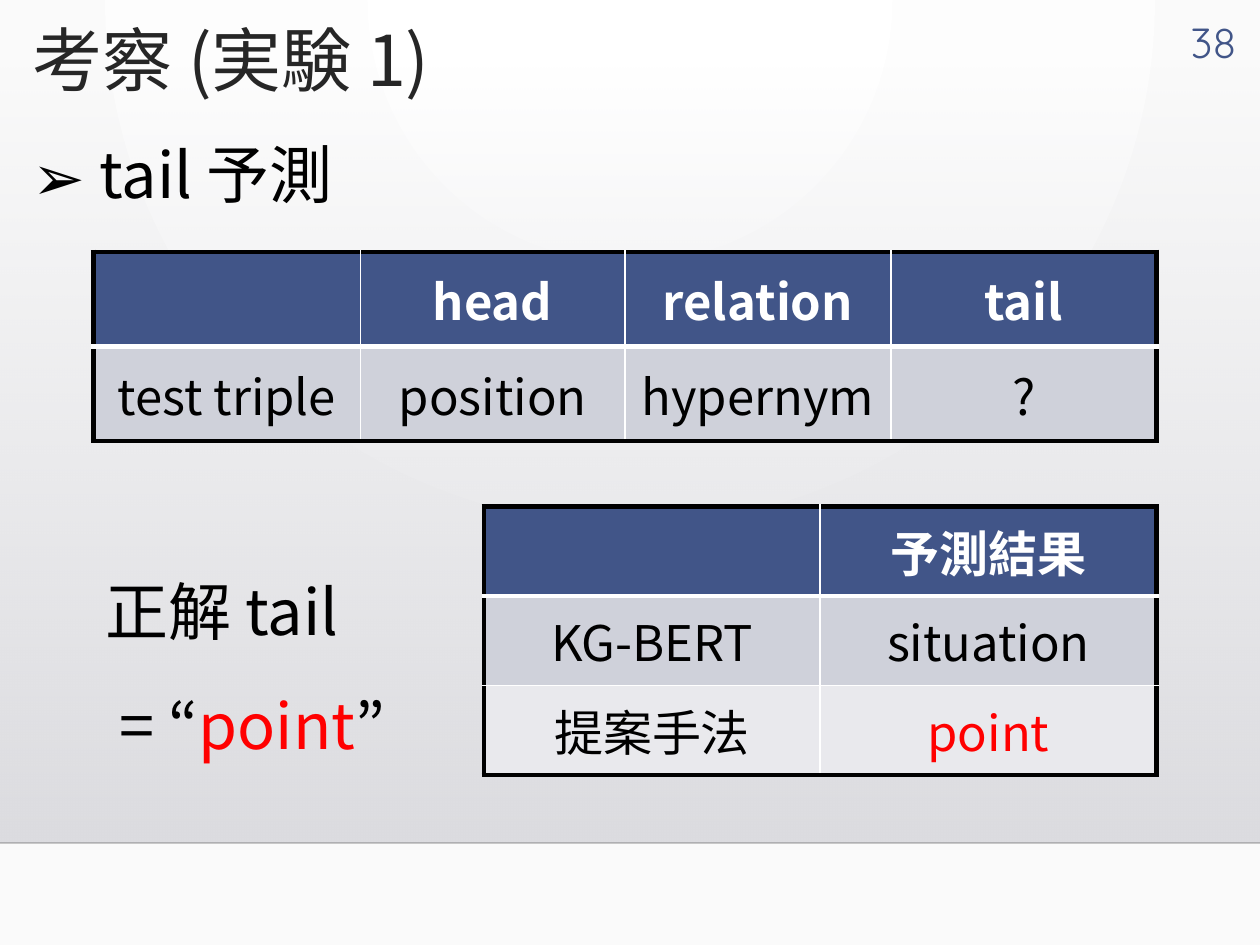
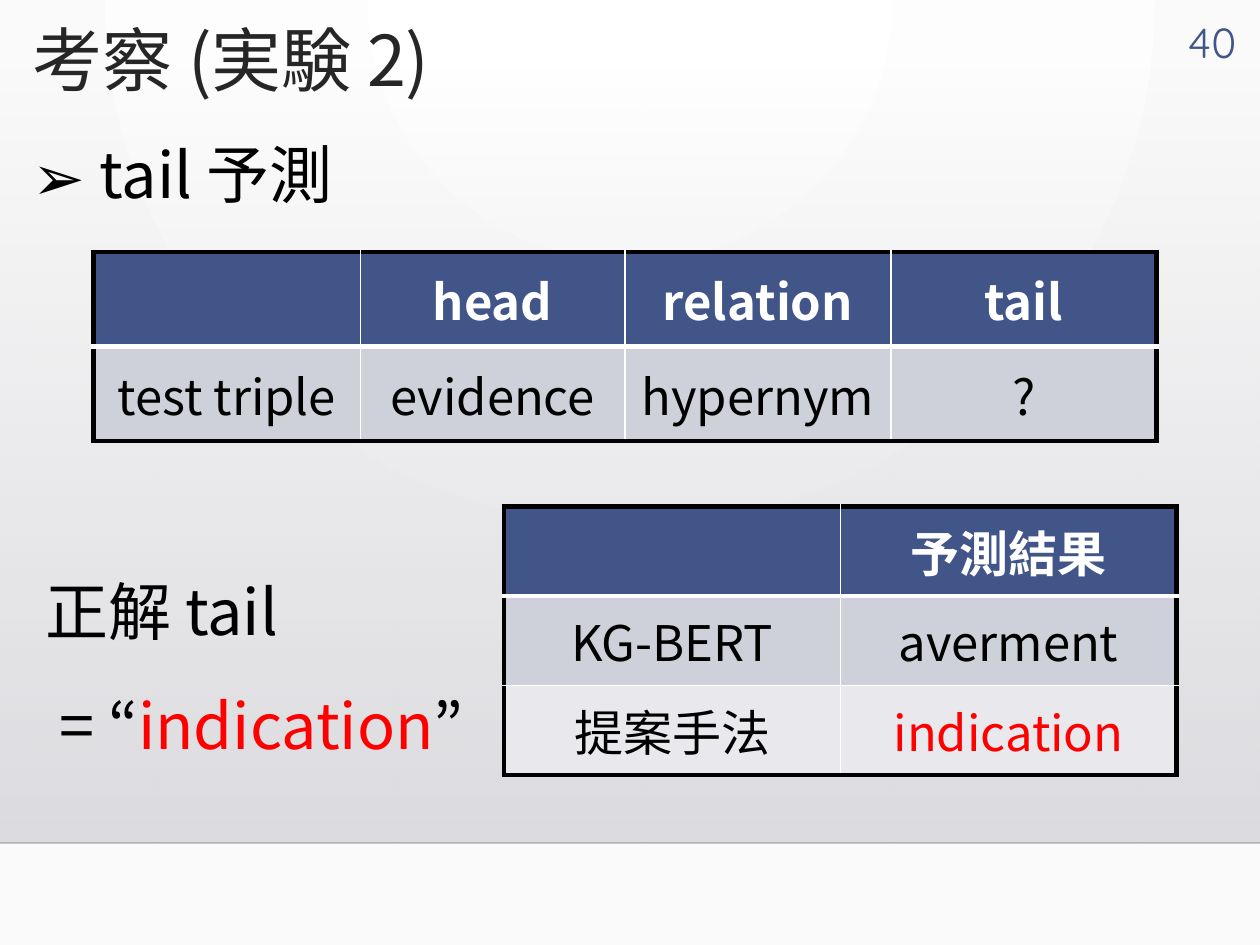
from dataclasses import dataclass

from lxml import etree
from pptx import Presentation, util as u
from pptx.dml.color import RGBColor
from pptx.enum import shapes, text
from pptx.oxml import parse_xml
from pptx.oxml.ns import nsdecls, qn


@dataclass(frozen=True)
class Theme:
    # Colours
    navy: str = "415588"
    ink: str = "262626"
    black: str = "000000"
    white: str = "FFFFFF"
    answer: str = "FF0000"
    rule: str = "000001"
    rows: tuple = ("CFD1DA", "E9E9ED")
    backdrop: tuple = (("FFFFFF", 100), ("FAFAFA", 100))
    band: tuple = (("DCDCE0", 0), ("DEDEE2", 100))
    # Fonts and type sizes
    font: str = "Noto Sans CJK JP"
    number_font: str = "Quicksand"
    title: int = 40
    body: int = 36
    cell: int = 28
    number: int = 24
    # Line pitches in points
    title_pitch: int = 48
    bullet_pitch: int = 43
    body_pitch: int = 65
    # Border widths in points
    thick: int = 3
    thin: int = 1


def shade(gradient, stops, shading):
    """Give a gradient fill two (colour, opacity) stops and a direction."""
    for child in list(gradient):
        gradient.remove(child)
    stop_list = etree.SubElement(gradient, qn("a:gsLst"))
    for position, (colour, opacity) in zip((0, 100), stops):
        stop = etree.SubElement(stop_list, qn("a:gs"), pos=str(position * 1000))
        fade(etree.SubElement(stop, qn("a:srgbClr"), val=colour), opacity)
    gradient.append(parse_xml(shading))


def fade(colour, opacity):
    if opacity < 100:
        etree.SubElement(colour, qn("a:alpha"), val=str(opacity * 1000))


class SlideBuilder:
    def __init__(self, deck, theme):
        self.deck = deck
        self.theme = theme
        self.page = None
        self.set_backdrop()

    def set_backdrop(self):
        master = self.deck.slide_master
        master.background.fill.gradient()
        shade(master.element.find(".//" + qn("a:gradFill")), self.theme.backdrop,
              f'<a:path {nsdecls("a")} path="circle">'
              '<a:fillToRect l="43000" t="0" r="43000" b="100000"/></a:path>')

    def new_page(self, title, number):
        theme = self.theme
        self.page = self.deck.slides.add_slide(self.deck.slide_layouts[6])
        self.band()
        self.rule()
        self.text_box(0.16, 0.08, 9.1, 0.86, [[(title, theme.ink)]],
                      theme.title, pitch=theme.title_pitch)
        self.text_box(9.19, 0.08, 0.72, 0.42, [[(number, theme.navy)]],
                      theme.number, font=theme.number_font,
                      align=text.PP_ALIGN.RIGHT)

    def band(self):
        box = self.page.shapes.add_shape(
            shapes.MSO_SHAPE.RECTANGLE, 0, u.Inches(0.51),
            self.deck.slide_width, u.Inches(6.18))
        box.shadow.inherit = False
        box.line.fill.background()
        box.fill.gradient()
        shade(box.element.spPr.find(qn("a:gradFill")), self.theme.band,
              f'<a:lin {nsdecls("a")} ang="5400000" scaled="0"/>')

    def rule(self):
        height = u.Inches(6.69)
        line = self.page.shapes.add_connector(
            shapes.MSO_CONNECTOR.STRAIGHT, 0, height, self.deck.slide_width, height)
        line.line.width = u.Pt(self.theme.thin)
        line.line.color.rgb = RGBColor.from_string(self.theme.rule)
        properties = line.element.spPr
        fade(properties.find(".//" + qn("a:srgbClr")), 20)
        etree.SubElement(properties, qn("a:effectLst"))

    def add_span(self, para, words, colour, size, font=None, bold=False):
        span = para.add_run()
        span.text = words
        span.font.size = u.Pt(size)
        span.font.bold = bold
        span.font.color.rgb = RGBColor.from_string(colour)
        span.font.name = font or self.theme.font
        etree.SubElement(span.font._element, qn("a:ea"), typeface=span.font.name)

    def text_box(self, left, top, width, height, paras, size, font=None,
                 pitch=None, align=text.PP_ALIGN.LEFT):
        box = self.page.shapes.add_textbox(
            *(u.Inches(n) for n in (left, top, width, height)))
        frame = box.text_frame
        frame.word_wrap = True
        for index, spans in enumerate(paras):
            para = frame.add_paragraph() if index else frame.paragraphs[0]
            para.alignment = align
            if pitch:
                para.line_spacing = u.Pt(pitch)
            for words, colour in spans:
                self.add_span(para, words, colour, size, font)
        return box

    def bullet(self, words):
        theme = self.theme
        box = self.text_box(0.16, 1.03, 2.81, 0.71, [[(words, theme.black)]],
                            theme.body, pitch=theme.bullet_pitch)
        properties = box.text_frame.paragraphs[0]._p.get_or_add_pPr()
        indent = u.Inches(0.23)
        properties.set("marL", str(indent))
        properties.set("indent", str(-indent))
        etree.SubElement(properties, qn("a:buFont"), typeface=theme.font)
        etree.SubElement(properties, qn("a:buChar"), char="➢")

    def border(self, cell, row, column, row_count, column_count):
        theme = self.theme
        outer = (theme.black, theme.thick)
        inner = (theme.white, theme.thin)
        under_header = (theme.white, theme.thick)
        sides = {
            "a:lnL": outer if column == 0 else inner,
            "a:lnR": outer if column == column_count - 1 else inner,
            "a:lnT": outer if row == 0 else under_header if row == 1 else inner,
            "a:lnB": (outer if row == row_count - 1
                      else under_header if row == 0 else inner),
        }
        properties = cell._tc.get_or_add_tcPr()
        for index, (side, (colour, width)) in enumerate(sides.items()):
            line = etree.Element(qn(side), w=str(u.Pt(width)))
            fill = etree.SubElement(line, qn("a:solidFill"))
            etree.SubElement(fill, qn("a:srgbClr"), val=colour)
            properties.insert(index, line)

    def table(self, left, top, widths, row_height, rows, answer=None):
        theme = self.theme
        grid = self.page.shapes.add_table(
            len(rows), len(widths), u.Inches(left), u.Inches(top),
            u.Inches(sum(widths)), u.Inches(row_height * len(rows))).table
        for column, width in zip(grid.columns, widths):
            column.width = u.Inches(width)
        for r, row in enumerate(rows):
            header = r == 0
            for c, words in enumerate(row):
                cell = grid.cell(r, c)
                cell.vertical_anchor = text.MSO_ANCHOR.MIDDLE
                cell.fill.solid()
                cell.fill.fore_color.rgb = RGBColor.from_string(
                    theme.navy if header else theme.rows[(r - 1) % 2])
                self.border(cell, r, c, len(rows), len(widths))
                if words:
                    para = cell.text_frame.paragraphs[0]
                    para.alignment = text.PP_ALIGN.CENTER
                    colour = (theme.white if header else
                              theme.answer if words == answer else theme.black)
                    self.add_span(para, words, colour, theme.cell, bold=header)


def add_discussion(builder, experiment, number, head, baseline, answer,
                   answer_left, answer_width, result_left):
    theme = builder.theme
    builder.new_page(f"考察 (実験 {experiment})", number)
    # Predictions of both methods
    builder.table(result_left, 4.02, (2.67, 2.67), 0.71,
                  [("", "予測結果"), ("KG-BERT", baseline), ("提案手法", answer)],
                  answer)
    # Test triple
    builder.table(0.74, 2, (2.12, 2.1, 2.11, 2.11), 0.75,
                  [("", "head", "relation", "tail"),
                   ("test triple", head, "hypernym", "?")])
    builder.bullet(" tail 予測")
    # Correct tail, wide enough to keep the answer on one line
    builder.text_box(answer_left, 4.19, answer_width, 1.95,
                     [[("正解 tail", theme.black)],
                      [(" = “", theme.black), (answer, theme.answer),
                       ("”", theme.black)]],
                     theme.body, pitch=theme.body_pitch)


def main():
    deck = Presentation()
    deck.slide_width, deck.slide_height = u.Inches(10), u.Inches(7.5)
    builder = SlideBuilder(deck, Theme())
    add_discussion(builder, 1, "38", "position", "situation", "point",
                   0.74, 2.95, 3.84)
    add_discussion(builder, 2, "40", "evidence", "averment", "indication",
                   0.26, 3.7, 4)
    deck.save("out.pptx")


if __name__ == "__main__":
    main()
